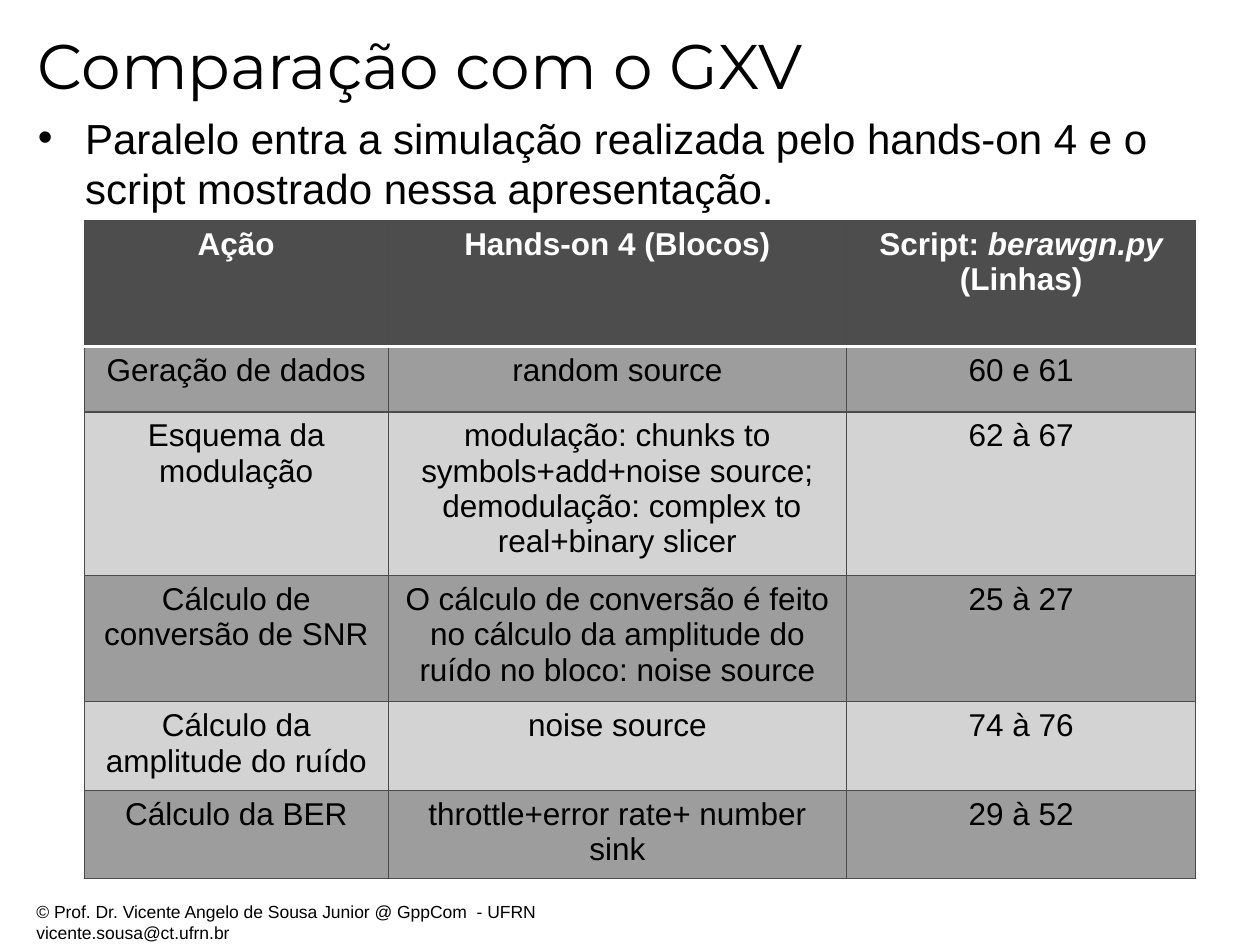
from lxml.etree import SubElement as Sub
from pptx import Presentation
from pptx.dml.color import RGBColor as RGB
from pptx.enum.text import MSO_ANCHOR as Anchor, PP_ALIGN as Align
from pptx.oxml.ns import qn
from pptx.util import Inches, Pt

BLACK = RGB(0x00, 0x00, 0x00)
WHITE = RGB(0xFF, 0xFF, 0xFF)
HEAD = RGB(0x4D, 0x4D, 0x4D)
DARK = RGB(0x9D, 0x9D, 0x9D)
LIGHT = RGB(0xD3, 0xD3, 0xD3)
EDGE = RGB(0x4B, 0x4B, 0x4B)

COLS = [2.41, 3.64, 2.77]
ROWS = [1, 0.52, 1.24, 0.96, 0.67, 0.67]
CELLS = [
    ["Ação", "Hands-on 4 (Blocos)", [("Script: ", False), ("berawgn.py", True), (" (Linhas)", False)]],
    ["Geração de dados", "random source", "60 e 61"],
    ["Esquema da modulação",
     "modulação: chunks to symbols+add+noise source;\n demodulação: complex to real+binary slicer",
     "62 à 67"],
    ["Cálculo de conversão de SNR",
     "O cálculo de conversão é feito no cálculo da amplitude do ruído no bloco: noise source",
     "25 à 27"],
    ["Cálculo da amplitude do ruído", "noise source", "74 à 76"],
    ["Cálculo da BER", "throttle+error rate+ number sink", "29 à 52"],
]


def place(shape, box):
    """Move a shape to a box given in inches."""
    shape.left, shape.top, shape.width, shape.height = map(Inches, box)


def add_run(para, text, size, color=BLACK, font="Arial", bold=False, slant=False):
    """Add one formatted run to a paragraph."""
    run = para.add_run()
    run.text = text
    face = run.font
    face.name, face.size, face.bold, face.italic = font, Pt(size), bold, slant
    face.color.rgb = color


def add_title(slide, box):
    """Fill the title placeholder."""
    title = slide.shapes.title
    place(title, box)
    title.text_frame.vertical_anchor = Anchor.MIDDLE
    para = title.text_frame.paragraphs[0]
    para.alignment = Align.LEFT
    add_run(para, "Comparação com o GXV", 36, font="Montserrat")


def add_body(slide, box):
    """Fill the body placeholder with its bullet."""
    body = slide.placeholders[1]
    place(body, box)
    para = body.text_frame.paragraphs[0]
    para.space_before = Pt(4.8)
    add_run(para, "Paralelo entra a simulação realizada pelo hands-on 4 e o "
                  "script mostrado nessa apresentação.", 24)


def add_edge(cell, side, color, width):
    """Draw one border of a cell."""
    line = Sub(cell._tc.get_or_add_tcPr(), qn("a:ln" + side), w=str(Pt(width)))
    Sub(Sub(line, qn("a:solidFill")), qn("a:srgbClr"), val=str(color))


def fill_cell(cell, text, row):
    """Set the borders, fill and text of a cell by its row."""
    for side in "LRTB":
        rule = (row, side) in ((0, "B"), (1, "T"))
        add_edge(cell, side, *((WHITE, 2) if rule else (EDGE, 0.75)))
    cell.fill.solid()
    cell.fill.fore_color.rgb = HEAD if row == 0 else DARK if row % 2 else LIGHT
    lines = [[(part, False)] for part in text.split("\n")] if isinstance(text, str) else [text]
    frame = cell.text_frame
    for num, runs in enumerate(lines):
        para = frame.add_paragraph() if num else frame.paragraphs[0]
        para.alignment = Align.CENTER
        for part, slant in runs:
            add_run(para, part, 18, BLACK if row else WHITE, bold=row == 0, slant=slant)


def add_grid(slide, left, top):
    """Add the comparison table."""
    size = map(Inches, (left, top, sum(COLS), sum(ROWS)))
    table = slide.shapes.add_table(len(ROWS), len(COLS), *size).table
    for col, width in zip(table.columns, COLS):
        col.width = Inches(width)
    for row, (height, texts) in enumerate(zip(ROWS, CELLS)):
        table.rows[row].height = Inches(height)
        for col, text in enumerate(texts):
            fill_cell(table.cell(row, col), text, row)


def add_foot(slide, box):
    """Add the author lines at the foot."""
    frame = slide.shapes.add_textbox(*map(Inches, box)).text_frame
    frame.word_wrap = True
    add_run(frame.paragraphs[0], "© Prof. Dr. Vicente Angelo de Sousa Junior @ GppCom  - UFRN", 10)
    add_run(frame.add_paragraph(), "vicente.sousa@ct.ufrn.br", 10)


def main():
    """Build and save the slide."""
    deck = Presentation()
    deck.slide_width, deck.slide_height = Inches(10), Inches(7.5)
    slide = deck.slides.add_slide(deck.slide_layouts[1])
    add_foot(slide, (0.19, 7.1, 7.72, 0.35))
    add_title(slide, (0.2, 0.05, 9.08, 0.92))
    add_body(slide, (0.2, 0.84, 9.39, 5.93))
    add_grid(slide, 0.67, 1.75)
    deck.save("out.pptx")


if __name__ == "__main__":
    main()
